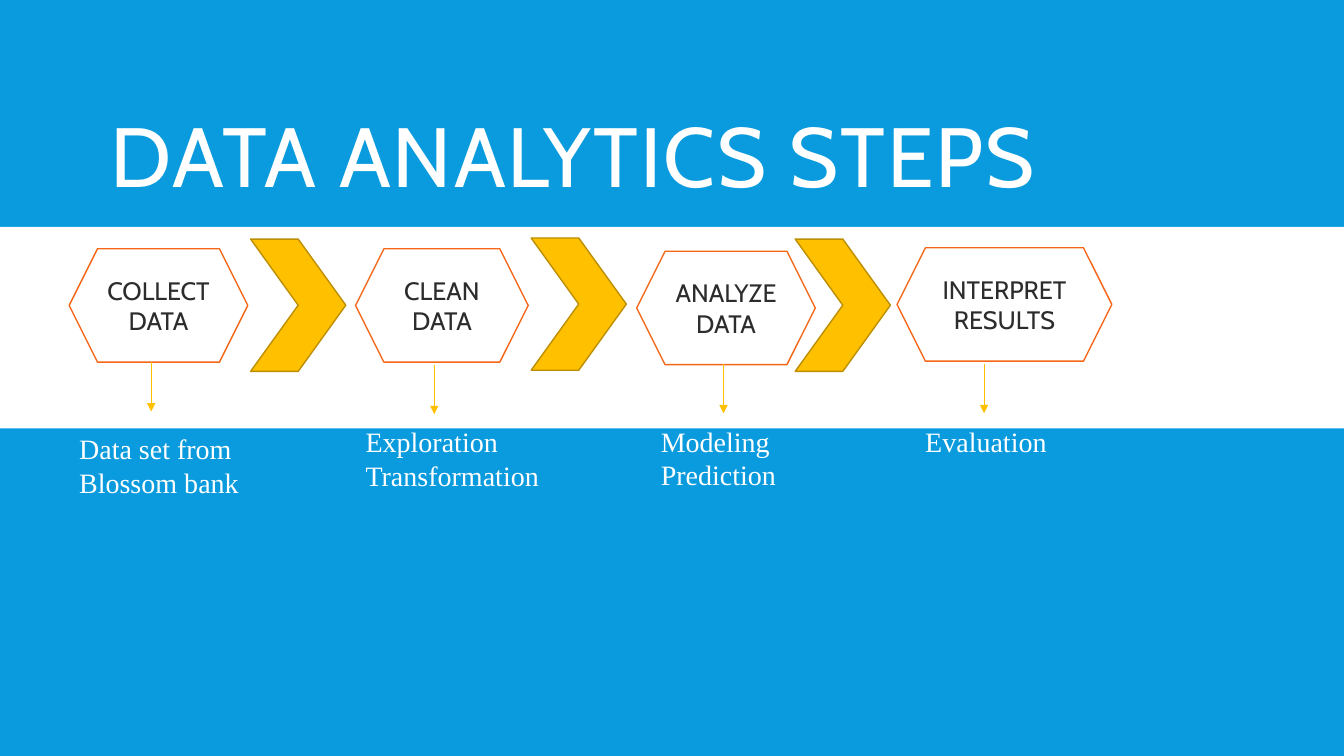
import pptx
import pptx.util
import pptx.dml.color
import pptx.enum.shapes
import pptx.enum.text
import pptx.oxml
import pptx.oxml.ns
import lxml.etree

Pt = pptx.util.Pt
SHAPES = pptx.enum.shapes.MSO_SHAPE
ALIGN = pptx.enum.text.PP_ALIGN
ANCHOR = pptx.enum.text.MSO_ANCHOR
FIT = pptx.enum.text.MSO_AUTO_SIZE

COLOURS = {
    "sky": "099BDD",
    "white": "FFFFFF",
    "gold": "FFC000",
    "bronze": "BD8E00",
    "orange": "F56617",
    "ink": "2C2C2C",
}
FORMATS = {
    "title": {"name": "Cabin", "size": Pt(60), "bold": False},
    "step": {"name": "Cabin", "size": Pt(18)},
    "detail": {"name": "Times New Roman", "size": Pt(20)},
}


def colour(name):
    return pptx.dml.color.RGBColor.from_string(COLOURS[name])


def write(box, lines, style, ink, align):
    frame = box.text_frame
    frame.word_wrap = True
    for index, line in enumerate(lines):
        para = frame.add_paragraph() if index else frame.paragraphs[0]
        para.alignment = align
        span = para.add_run()
        span.text = line
        for key, value in FORMATS[style].items():
            setattr(span.font, key, value)
        span.font.color.rgb = colour(ink)


deck = pptx.Presentation()
deck.slide_width, deck.slide_height = Pt(960), Pt(540)
page = deck.slides.add_slide(deck.slide_layouts[5])
page.background.fill.solid()
page.background.fill.fore_color.rgb = colour("sky")

band = page.shapes.add_shape(SHAPES.RECTANGLE, Pt(0), Pt(162), Pt(960), Pt(144))
band.shadow.inherit = False
band.fill.solid()
band.fill.fore_color.rgb = colour("white")
band.line.fill.background()

title = page.shapes.title
title.left, title.top, title.width, title.height = Pt(49.7), Pt(69.8), Pt(720), Pt(93.6)
write(title, ["DATA ANALYTICS STEPS"], "title", "white", ALIGN.CENTER)
title.text_frame.auto_size = FIT.NONE
title.text_frame.vertical_anchor = ANCHOR.MIDDLE
heading = title.text_frame.paragraphs[0]
heading.line_spacing = 0.8
heading.runs[0].font._element.set("spc", "150")

chevrons = [(179, 170.8), (379.4, 170), (568, 170.8)]
hexagons = [
    ("COLLECT DATA", 49.4, 177.7, 127.6),
    ("CLEAN DATA", 254, 177.7, 123.3),
    ("ANALYZE DATA", 454.8, 179.5, 127.6),
    ("INTERPRET RESULTS", 640.8, 177, 153.4),
]
arrows = [(108, 258.7), (310.2, 260.6), (516.8, 260), (702.9, 260)]
details = [
    (["Data set from Blossom bank"], 49.4, 304.6, 130.3, 7.2),
    (["Exploration", "Transformation"], 254, 300, 143.3, 7.2),
    (["Modeling", "Prediction"], 454.8, 299.5, 141.1, 17.2),
    (["Evaluation"], 653.8, 300, 127.4, 7.2),
]

for left, top in chevrons:
    chevron = page.shapes.add_shape(SHAPES.CHEVRON, Pt(left), Pt(top), Pt(68), Pt(94.5))
    chevron.shadow.inherit = False
    chevron.fill.solid()
    chevron.fill.fore_color.rgb = colour("gold")
    chevron.line.color.rgb = colour("bronze")
    chevron.line.width = Pt(1)

for label, left, top, width in hexagons:
    step = page.shapes.add_shape(SHAPES.HEXAGON, Pt(left), Pt(top), Pt(width), Pt(81))
    step.shadow.inherit = False
    step.fill.solid()
    step.fill.fore_color.rgb = colour("white")
    step.line.color.rgb = colour("orange")
    step.line.width = Pt(1)
    step.text_frame.vertical_anchor = ANCHOR.MIDDLE
    write(step, [label], "step", "ink", ALIGN.CENTER)

for x, top in arrows:
    arrow = page.shapes.add_connector(
        pptx.enum.shapes.MSO_CONNECTOR.STRAIGHT, Pt(x), Pt(top), Pt(x), Pt(top + 35.2))
    arrow.line.color.rgb = colour("gold")
    arrow.line.width = Pt(0.75)
    tip = lxml.etree.SubElement(arrow.line._get_or_add_ln(), pptx.oxml.ns.qn("a:tailEnd"))
    tip.set("type", "triangle")
    lxml.etree.SubElement(arrow._element.spPr, pptx.oxml.ns.qn("a:effectLst"))

for lines, left, top, width, inset in details:
    detail = page.shapes.add_textbox(Pt(left), Pt(top), Pt(width), Pt(31.5 if lines == ["Evaluation"] else 55.7))
    detail.text_frame.margin_left = Pt(inset)
    detail.text_frame.auto_size = FIT.SHAPE_TO_FIT_TEXT
    write(detail, lines, "detail", "white", ALIGN.LEFT)

deck.save("out.pptx")
